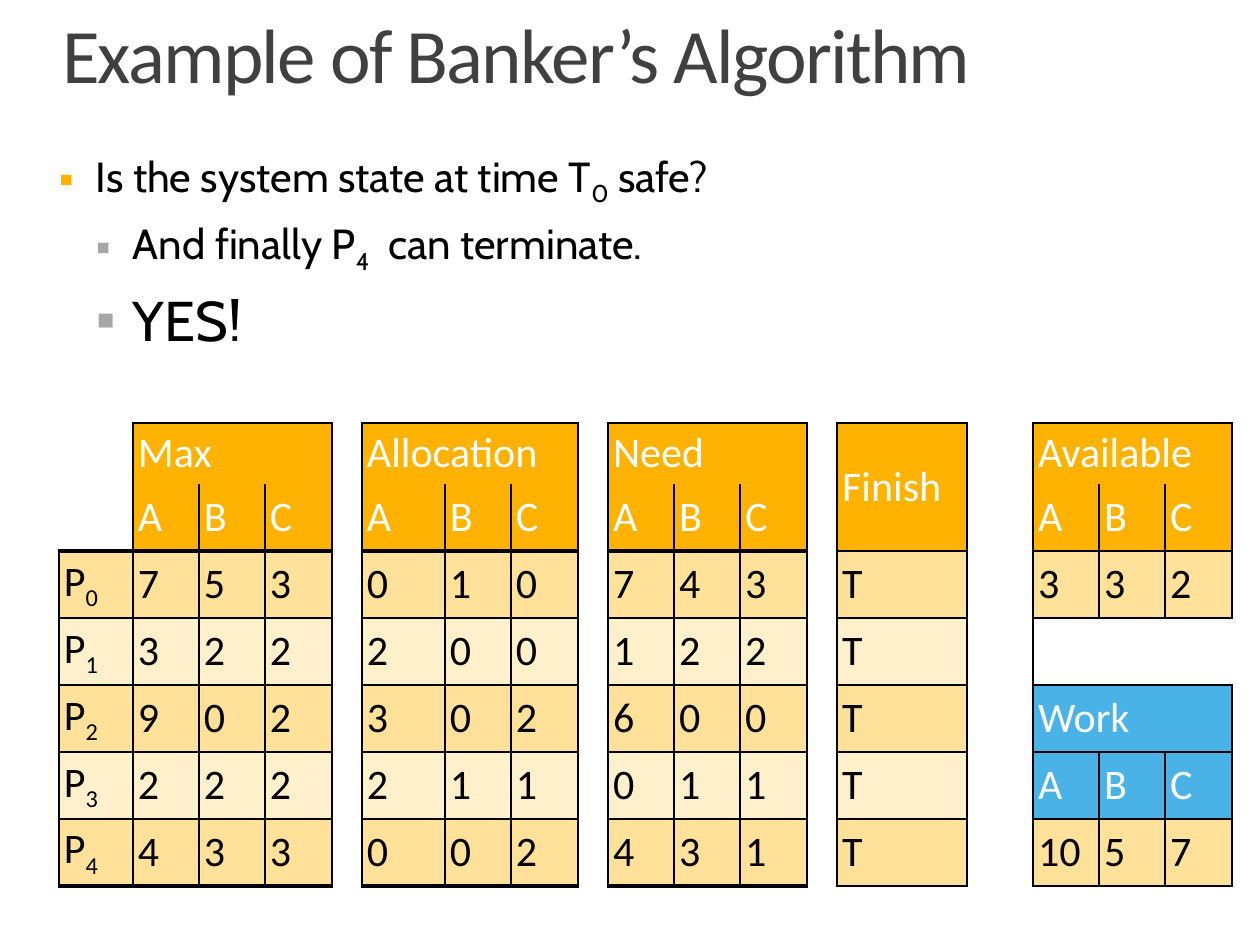
from lxml import etree
from pptx import Presentation, util as u
from pptx.dml.color import RGBColor
from pptx.enum import text
from pptx.oxml import ns

BLACK = RGBColor(0x00, 0x00, 0x00)
WHITE = RGBColor(0xFF, 0xFF, 0xFF)
CHARCOAL = RGBColor(0x40, 0x40, 0x40)
GRAY = RGBColor(0xA6, 0xA6, 0xA6)
AMBER = RGBColor(0xFF, 0xB3, 0x00)
BLUE = RGBColor(0x49, 0xB3, 0xE8)
BANDS = RGBColor(0xFF, 0xE1, 0x99), RGBColor(0xFF, 0xF0, 0xCC)

NO_GRID = "{2D5ABB26-0587-4C30-8999-92F81FD0307C}"
ABC = 66
COLUMNS = [74, ABC, ABC, 67, 24, 83, ABC, 67, 20, ABC, ABC, 67, 15, 130, ABC, ABC, ABC, 67]
ROWS = [61] + [67] * 6
FINISH = 13
MATRICES = [
    (0, 1, "Max", AMBER, ["7 5 3", "3 2 2", "9 0 2", "2 2 2", "4 3 3"]),
    (0, 5, "Allocation", AMBER, ["0 1 0", "2 0 0", "3 0 2", "2 1 1", "0 0 2"]),
    (0, 9, "Need", AMBER, ["7 4 3", "1 2 2", "6 0 0", "0 1 1", "4 3 1"]),
    (0, 15, "Available", AMBER, ["3 3 2"]),
    (4, 15, "Work", BLUE, ["10 5 7"]),
]
BULLETS = [
    (0, 24, 18, AMBER, ["Is the system state at time T", "0", " safe?"]),
    (1, 24, 6, GRAY, ["And finally P", "4", "  can terminate."]),
    (1, 32, 6, GRAY, ["YES!"]),
]


def px(n):
    return u.Emu(round(n * u.Inches(1) / 126))


def banker_cells():
    cells, spans = {}, [(0, FINISH, 1, FINISH)]
    for row, col, title, color, lines in MATRICES:
        spans.append((row, col, row, col + 2))
        for i in range(3):
            cells[row, col + i] = ([title] if i == 0 else [], color, WHITE)
            cells[row + 1, col + i] = (["ABC"[i]], color, WHITE)
        for r, line in enumerate(lines, row + 2):
            for c, value in enumerate(line.split(), col):
                cells[r, c] = ([value], BANDS[r % 2], BLACK)
    cells[0, FINISH] = (["Finish"], AMBER, WHITE)
    cells[1, FINISH] = ([], AMBER, WHITE)
    for n in range(5):
        band = BANDS[n % 2]
        cells[n + 2, 0] = (["P", str(n)], band, BLACK)
        cells[n + 2, FINISH] = (["T"], band, BLACK)
    return cells, spans


class Deck:
    """Holds the style and the current slide."""

    def __init__(self, prs):
        self.heading, self.body = "Calibri", "Cabin"
        self.s = prs.slides.add_slide(prs.slide_layouts[1])

    def place(self, sp, box, top=0):
        sp.left, sp.top, sp.width, sp.height = map(px, box)
        tf = sp.text_frame
        tf.margin_left = tf.margin_right = tf.margin_bottom = 0
        tf.margin_top = px(top)
        tf.word_wrap = True
        tf.auto_size = text.MSO_AUTO_SIZE.NONE
        return tf

    def runs(self, p, parts, size, font, color):
        """Add runs, every second one a subscript."""
        for i, part in enumerate(parts):
            r = p.add_run()
            r.text = part
            r.font.size, r.font.name = u.Pt(size), font
            r.font.color.rgb = color
            if i % 2:
                r.font._element.set("baseline", "-25000")

    def title(self, words, box):
        tf = self.place(self.s.shapes.title, box, top=5)
        tf.vertical_anchor = text.MSO_ANCHOR.BOTTOM
        p = tf.paragraphs[0]
        p.alignment, p.line_spacing = text.PP_ALIGN.LEFT, 0.8
        p._p.get_or_add_pPr().set("marL", str(px(62)))
        self.runs(p, [words], 44, self.heading, CHARCOAL)
        p.runs[0].font._element.set("spc", "-100")

    def bullets(self, items, box):
        sp = self.s.placeholders[1]
        sp.element.getparent().append(sp.element)
        tf = self.place(sp, box)
        tf.vertical_anchor = text.MSO_ANCHOR.TOP
        for i, (level, size, before, color, parts) in enumerate(items):
            p = tf.add_paragraph() if i else tf.paragraphs[0]
            p.level, p.space_before = level, u.Pt(before)
            pPr = p._p.get_or_add_pPr()
            pPr.set("marL", str(px(37 * (level + 1))))
            pPr.set("indent", str(-px(37)))
            clr = etree.SubElement(pPr, ns.qn("a:buClr"))
            etree.SubElement(clr, ns.qn("a:srgbClr"), val=str(color))
            etree.SubElement(pPr, ns.qn("a:buChar"), char="▪")
            self.runs(p, parts, size, self.body, BLACK)

    def border(self, cell, side, points):
        ln = etree.SubElement(cell._tc.get_or_add_tcPr(), ns.qn("a:ln" + side),
                              w=str(u.Pt(points)))
        fill = etree.SubElement(ln, ns.qn("a:solidFill"))
        etree.SubElement(fill, ns.qn("a:srgbClr"), val=str(BLACK))

    def table(self, cells, spans, left, top):
        frame = self.s.shapes.add_table(len(ROWS), len(COLUMNS), px(left), px(top),
                                        px(sum(COLUMNS)), px(sum(ROWS)))
        tbl = frame.table
        tbl.first_row = tbl.horz_banding = False
        tbl._tbl.tblPr.find(ns.qn("a:tableStyleId")).text = NO_GRID
        for i, width in enumerate(COLUMNS):
            tbl.columns[i].width = px(width)
        for i, height in enumerate(ROWS):
            tbl.rows[i].height = px(height)
        for r1, c1, r2, c2 in spans:
            tbl.cell(r1, c1).merge(tbl.cell(r2, c2))

        def header(key):
            return key in cells and cells[key][1] in (AMBER, BLUE)

        def across(y, c):
            above, below = (y - 1, c), (y, c)
            if header(above) and header(below) or not (above in cells or below in cells):
                return 0
            return 2.25 if y in (2, 7) and c < FINISH else 1

        def down(r, x):
            before, after = (r, x - 1), (r, x)
            joined = any(r == r1 and c1 < x <= c2 for r1, c1, _, c2 in spans)
            return 0 if joined else int(before in cells or after in cells)

        for r in range(len(ROWS)):
            for c in range(len(COLUMNS)):
                cell = tbl.cell(r, c)
                edges = {"L": down(r, c), "R": down(r, c + cell.span_width),
                         "T": across(r, c), "B": across(r + cell.span_height, c)}
                for side, points in edges.items():
                    if points:
                        self.border(cell, side, points)
                if (r, c) not in cells:
                    continue
                parts, fill, color = cells[r, c]
                cell.fill.solid()
                cell.fill.fore_color.rgb = fill
                cell.vertical_anchor = text.MSO_ANCHOR.MIDDLE
                cell.margin_left = cell.margin_right = px(5)
                cell.margin_top = cell.margin_bottom = px(5)
                self.runs(cell.text_frame.paragraphs[0], parts, 24, self.heading, color)


def main():
    prs = Presentation()
    prs.slide_width, prs.slide_height = px(1260), px(945)
    deck = Deck(prs)
    deck.title("Example of Banker’s Algorithm", (0, 0, 1260, 98))
    deck.table(*banker_cells(), left=59, top=423)
    deck.bullets(BULLETS, (59, 150, 1142, 348))
    prs.save("out.pptx")


if __name__ == "__main__":
    main()
